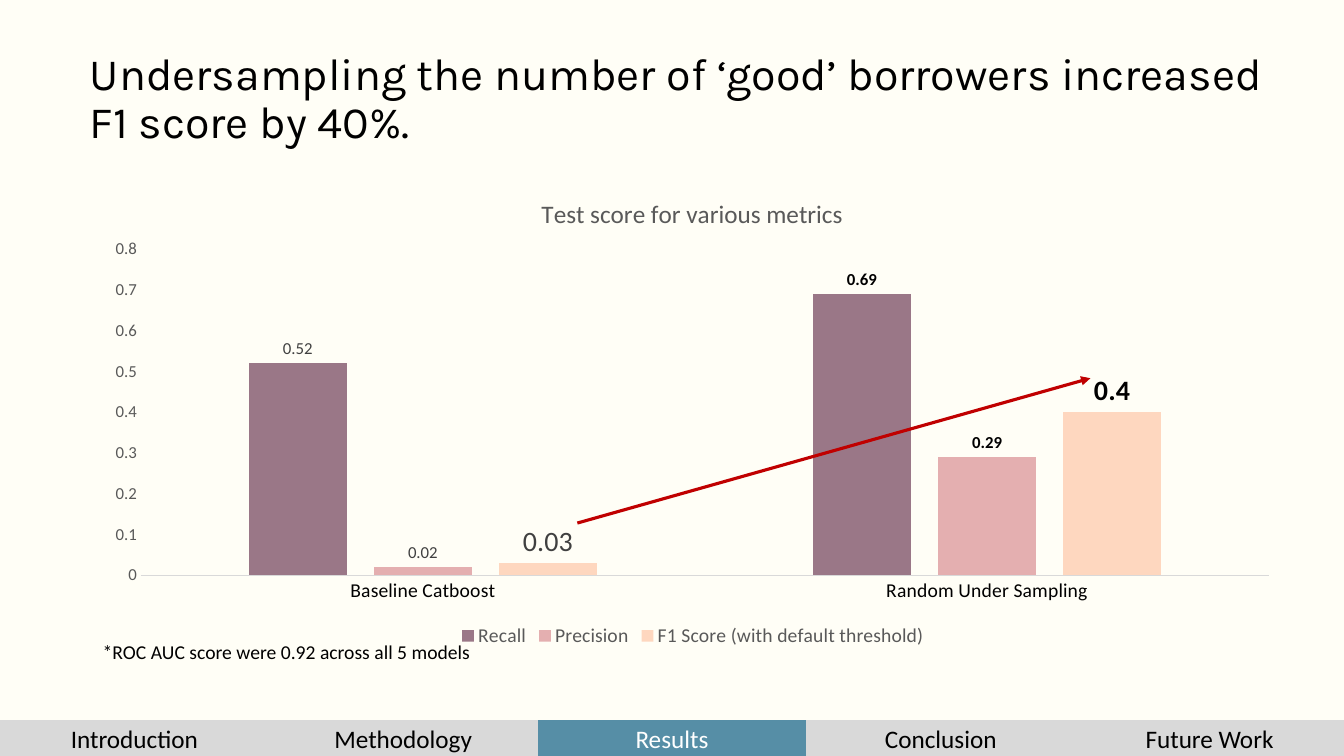
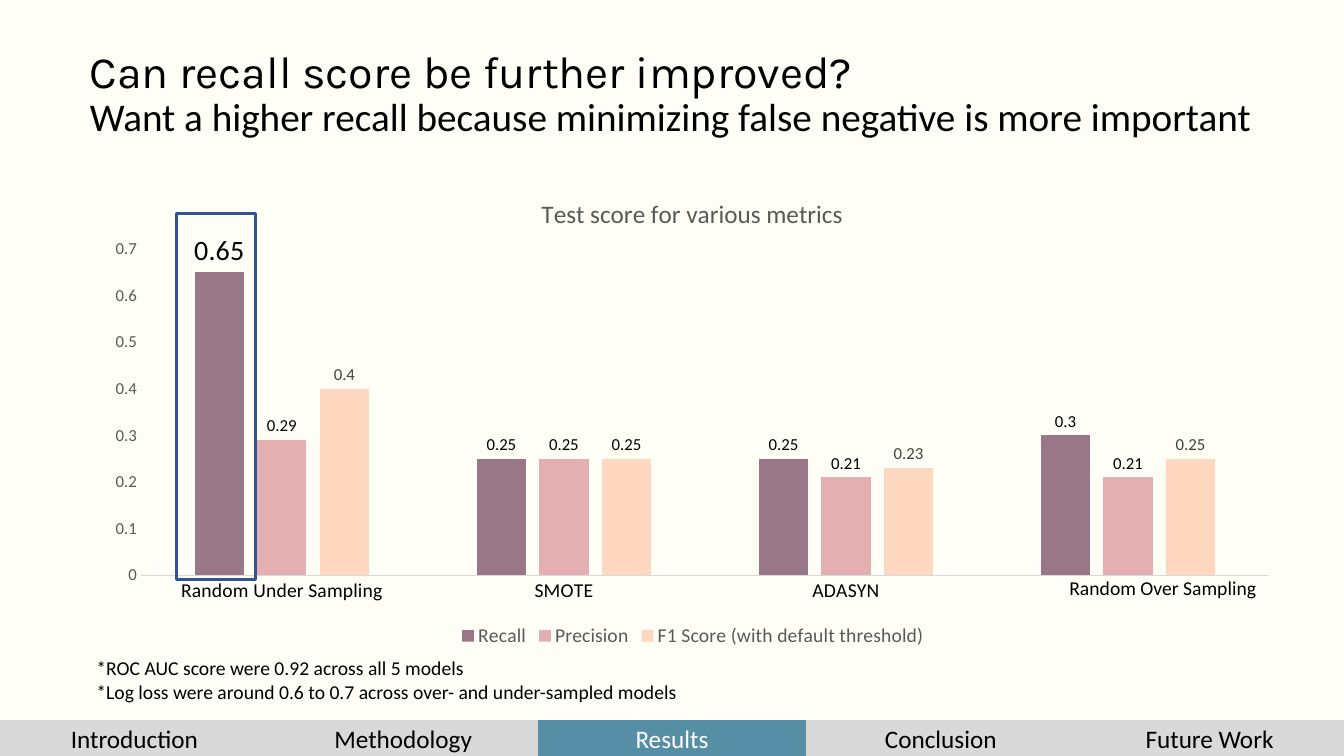
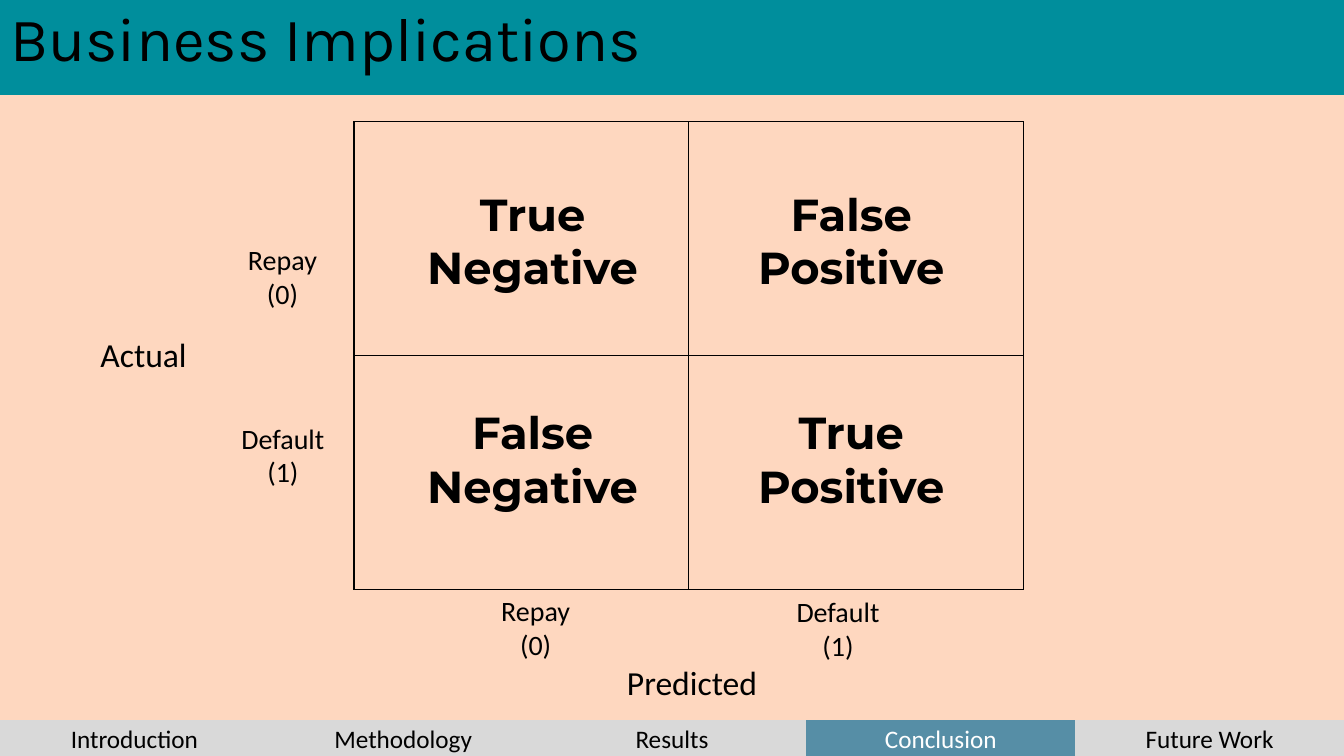
from lxml import etree
from pptx import Presentation
from pptx.chart.data import CategoryChartData
from pptx.dml.color import RGBColor
from pptx.enum.chart import XL_CHART_TYPE, XL_LABEL_POSITION, XL_LEGEND_POSITION, XL_TICK_MARK
from pptx.enum.shapes import MSO_CONNECTOR, MSO_SHAPE
from pptx.enum.text import MSO_ANCHOR, MSO_AUTO_SIZE, PP_ALIGN
from pptx.oxml import parse_xml
from pptx.oxml.ns import nsdecls, qn
from pptx.util import Cm, Pt

LEFT, CENTER = PP_ALIGN.LEFT, PP_ALIGN.CENTER
MIDDLE = MSO_ANCHOR.MIDDLE
NO_FIT, GROW = MSO_AUTO_SIZE.NONE, MSO_AUTO_SIZE.SHAPE_TO_FIT_TEXT
COLUMNS = XL_CHART_TYPE.COLUMN_CLUSTERED
OUTSIDE_END = XL_LABEL_POSITION.OUTSIDE_END
BOTTOM = XL_LEGEND_POSITION.BOTTOM
NO_TICK = XL_TICK_MARK.NONE
STRAIGHT, RECTANGLE = MSO_CONNECTOR.STRAIGHT, MSO_SHAPE.RECTANGLE

# Shared look
SLIDE_WIDTH, SLIDE_HEIGHT = 33.87, 19.05
BODY_FONT, TITLE_FONT, MATRIX_FONT = "Calibri", "Karla", "Montserrat"
BLACK, WHITE = "000000", "FFFFFF"
CREAM, PEACH, TEAL = "FFFEF6", "FED7BF", "008E9C"
GREY, ACTIVE = "D9D9D9", "568EA6"
CHART_GREY, LABEL_GREY = "595959", "404040"
ARROW_RED, FRAME_BLUE = "C00000", "325494"
PLAIN_TABLE = "{2D5ABB26-0587-4C30-8999-92F81FD0307C}"

# Content
SECTIONS = ["Introduction", "Methodology", "Results", "Conclusion", "Future Work"]
CHART_TITLE = "Test score for various metrics"
METRICS = [("Recall", "9A7787"), ("Precision", "E4AFB0"),
           ("F1 Score (with default threshold)", PEACH)]
AUC_NOTE = "*ROC AUC score were 0.92 across all 5 models"
LOSS_NOTE = "*Log loss were around 0.6 to 0.7 across over- and under-sampled models"

# Label styles are (size, colour, bold); special ones are keyed by (metric, category)
UNDERSAMPLING = {
    "categories": ["Baseline Catboost", "Random Under Sampling"],
    "values": [[0.52, 0.69], [0.02, 0.29], [0.03, 0.4]],
    "top": 0.8,
    "labels": [(12, LABEL_GREY, False), (12, LABEL_GREY, False), (20, LABEL_GREY, False)],
    "special": {(0, 1): (12, BLACK, True), (1, 1): (12, BLACK, True), (2, 1): (20, BLACK, True)},
}
RESAMPLING = {
    "categories": ["Random Under Sampling", "SMOTE", "ADASYN", ""],
    "values": [[0.65, 0.25, 0.25, 0.3], [0.29, 0.25, 0.21, 0.21], [0.4, 0.25, 0.23, 0.25]],
    "top": 0.7,
    "labels": [(12, BLACK, False), (12, BLACK, False), (12, LABEL_GREY, False)],
    "special": {(0, 0): (20, BLACK, False), (2, 1): (12, BLACK, False)},
}

MATRIX = [[["True", "Negative"], ["False", "Positive"]],
          [["False", "Negative"], ["True", "Positive"]]]
MATRIX_LEFTS, MATRIX_TOPS = (10.54, 18.57), (4.57, 10.08)
REPAY, DEFAULT = ["Repay", "(0)"], ["Default", "(1)"]
# lines, size, left, top, width, height
AXIS_LABELS = [
    (["Actual"], 24, 2.26, 8.28, 2.72, 1.27),
    (["Predicted"], 24, 15.52, 16.56, 3.84, 1.27),
    (REPAY, 20, 5.99, 5.99, 2.26, 1.96),
    (DEFAULT, 20, 5.82, 10.49, 2.62, 1.96),
    (REPAY, 20, 12.37, 14.83, 2.26, 1.96),
    (DEFAULT, 20, 19.81, 14.86, 2.62, 1.96),
]


def rgb(value):
    return RGBColor.from_string(value)


def paint(target, color):
    target.fill.solid()
    target.fill.fore_color.rgb = rgb(color)


def style(font, size, color=BLACK, name=BODY_FONT, bold=False):
    font.size, font.name, font.bold = Pt(size), name, bold
    font.color.rgb = rgb(color)


def add_span(para, text, size, **look):
    span = para.add_run()
    span.text = text
    style(span.font, size, **look)


def add_slide(deck, active, spans, top, height, left=2.01, width=30.25):
    """Add a slide with its title and footer; spans are (text, size, font), one a line."""
    page = deck.slides.add_slide(deck.slide_layouts[5])
    title = page.shapes.title
    title.left, title.top, title.width, title.height = map(Cm, (left, top, width, height))
    frame = title.text_frame
    frame.auto_size, frame.vertical_anchor, frame.word_wrap = NO_FIT, MIDDLE, True
    para = frame.paragraphs[0]
    para.alignment, para.line_spacing = LEFT, 0.9
    for number, (text, size, name) in enumerate(spans):
        if number:
            para.add_line_break()
        add_span(para, text, size, name=name)
    add_footer(page, active)
    return page


def add_plain_table(page, rows, columns, left, top, width, height):
    frame = page.shapes.add_table(rows, columns, Cm(left), Cm(top), Cm(width), Cm(height))
    table = frame.table
    table.first_row = table.horz_banding = False
    table._tbl.tblPr.find(qn("a:tableStyleId")).text = PLAIN_TABLE
    return table


def add_footer(page, active):
    table = add_plain_table(page, 1, len(SECTIONS), 0, 18.14, SLIDE_WIDTH, 1.02)
    for cell, section in zip(table.iter_cells(), SECTIONS):
        paint(cell, ACTIVE if section == active else GREY)
        para = cell.text_frame.paragraphs[0]
        para.alignment = CENTER
        add_span(para, section, 18, color=WHITE if section == active else BLACK)


def add_text(page, lines, size, left, top, width, height, align=LEFT, wrap=False, **look):
    box = page.shapes.add_textbox(Cm(left), Cm(top), Cm(width), Cm(height))
    frame = box.text_frame
    frame.word_wrap, frame.auto_size = wrap, GROW
    for number, line in enumerate(lines):
        para = frame.add_paragraph() if number else frame.paragraphs[0]
        para.alignment = align
        add_span(para, line, size, **look)
    return box


def place_part(part, position, **fractions):
    """Give a chart part a fixed place, in fractions of the chart."""
    for old in part.findall(qn("c:layout")):
        part.remove(old)
    layout = etree.Element(qn("c:layout"))
    manual = etree.SubElement(layout, qn("c:manualLayout"))
    if "w" in fractions:
        etree.SubElement(manual, qn("c:layoutTarget"), val="inner")
    for axis in "xy":
        etree.SubElement(manual, qn(f"c:{axis}Mode"), val="edge")
    for name, value in fractions.items():
        etree.SubElement(manual, qn(f"c:{name}"), val=str(value))
    part.insert(position, layout)


def add_score_chart(page, scores):
    data = CategoryChartData()
    data.categories = scores["categories"]
    for (name, _), values in zip(METRICS, scores["values"]):
        data.add_series(name, values)
    chart = page.shapes.add_chart(COLUMNS, Cm(2.34), Cm(4.34), Cm(30.25), Cm(12.09), data).chart
    style(chart.font, 10)

    # Title, legend and plot area
    chart.has_title = True
    add_span(chart.chart_title.text_frame.paragraphs[0], CHART_TITLE, 18, color=CHART_GREY)
    chart.has_legend = True
    chart.legend.position, chart.legend.include_in_layout = BOTTOM, False
    style(chart.legend.font, 14, CHART_GREY)
    root = chart._chartSpace
    place_part(root.xpath("c:chart/c:title")[0], 1, x=0.37, y=0.04)
    place_part(root.xpath("c:chart/c:plotArea")[0], 0, x=0.04, y=0.16, w=0.94, h=0.68)

    # Axes
    for axis, size, color in ((chart.category_axis, 14, BLACK), (chart.value_axis, 12, CHART_GREY)):
        axis.has_major_gridlines = False
        axis.major_tick_mark = axis.minor_tick_mark = NO_TICK
        style(axis.tick_labels.font, size, color)
    line = chart.category_axis.format.line
    line.color.rgb, line.width = rgb(GREY), Pt(0.75)
    scale = chart.value_axis
    scale.format.line.fill.background()
    scale.minimum_scale, scale.maximum_scale, scale.major_unit = 0, scores["top"], 0.1

    # Columns and their labels
    plot = chart.plots[0]
    plot.gap_width, plot.overlap, plot.vary_by_categories = 219, -27, False
    for series, (_, color), look in zip(plot.series, METRICS, scores["labels"]):
        paint(series.format, color)
        series.invert_if_negative = False
        labels = series.data_labels
        labels.show_value, labels.position = True, OUTSIDE_END
        size, label_color, bold = look
        style(labels.font, size, label_color, bold=bold)
    for (metric, category), (size, color, bold) in scores["special"].items():
        label = plot.series[metric].points[category].data_label
        style(label.font, size, color, bold=bold)
        label.position = OUTSIDE_END


def add_arrow(page, start, end):
    arrow = page.shapes.add_connector(STRAIGHT, *map(Cm, start + end))
    arrow.line.color.rgb, arrow.line.width = rgb(ARROW_RED), Pt(2.25)
    properties = arrow._element.spPr
    etree.SubElement(properties.find(qn("a:ln")), qn("a:tailEnd"), type="triangle")
    etree.SubElement(properties, qn("a:effectLst"))


def add_frame(page, left, top, width, height):
    frame = page.shapes.add_shape(RECTANGLE, Cm(left), Cm(top), Cm(width), Cm(height))
    frame.shadow.inherit = False
    frame.fill.background()
    frame.line.color.rgb, frame.line.width = rgb(FRAME_BLUE), Pt(2.25)


def add_matrix(page):
    table = add_plain_table(page, 2, 2, 8.92, 3.07, 16.87, 11.78)
    for cell in table.iter_cells():
        cell.fill.background()
        for position, side in enumerate("LRTB"):
            cell._tc.tcPr.insert(position, parse_xml(
                f'<a:ln{side} {nsdecls("a")} w="12700"><a:solidFill>'
                f'<a:srgbClr val="{BLACK}"/></a:solidFill></a:ln{side}>'))
    for top, row in zip(MATRIX_TOPS, MATRIX):
        for left, lines in zip(MATRIX_LEFTS, row):
            box = add_text(page, lines, 32, left, top, 5.77, 3, align=CENTER, wrap=True,
                           name=MATRIX_FONT, bold=True)
            frame = box.text_frame
            frame.margin_left = frame.margin_right = Cm(0.13)


def main():
    deck = Presentation()
    deck.slide_width, deck.slide_height = Cm(SLIDE_WIDTH), Cm(SLIDE_HEIGHT)
    paint(deck.slide_master.background, CREAM)

    # Undersampling result
    page = add_slide(deck, "Results", [
        ("Undersampling the number of ‘good’ borrowers increased F1 score by 40%.", 32, TITLE_FONT),
    ], top=1.12, height=2.79)
    add_score_chart(page, UNDERSAMPLING)
    add_text(page, [AUC_NOTE], 14, 2.34, 16, 9.86, 0.86)
    add_arrow(page, (14.55, 13.18), (27.48, 9.53))

    # Comparison of resampling methods
    page = add_slide(deck, "Results", [
        ("Can recall score be further improved?", 32, TITLE_FONT),
        ("Want a higher recall because minimizing false negative is more important", 28, BODY_FONT),
    ], top=0.25, height=4.29)
    add_score_chart(page, RESAMPLING)
    add_text(page, [AUC_NOTE, LOSS_NOTE], 14, 2.18, 16.41, 15.27, 1.45)
    add_text(page, ["Random Over Sampling"], 14, 26.7, 14.4, 5.26, 0.86)
    add_frame(page, 4.45, 5.38, 1.98, 9.22)

    # Confusion matrix
    page = add_slide(deck, "Conclusion", [("Business Implications", 44, TITLE_FONT)],
                     top=-0.28, height=2.67, left=0, width=SLIDE_WIDTH)
    paint(page.background, PEACH)
    paint(page.shapes.title, TEAL)
    add_matrix(page)
    for lines, size, left, top, width, height in AXIS_LABELS:
        add_text(page, lines, size, left, top, width, height, align=CENTER)

    deck.save("out.pptx")


if __name__ == "__main__":
    main()
